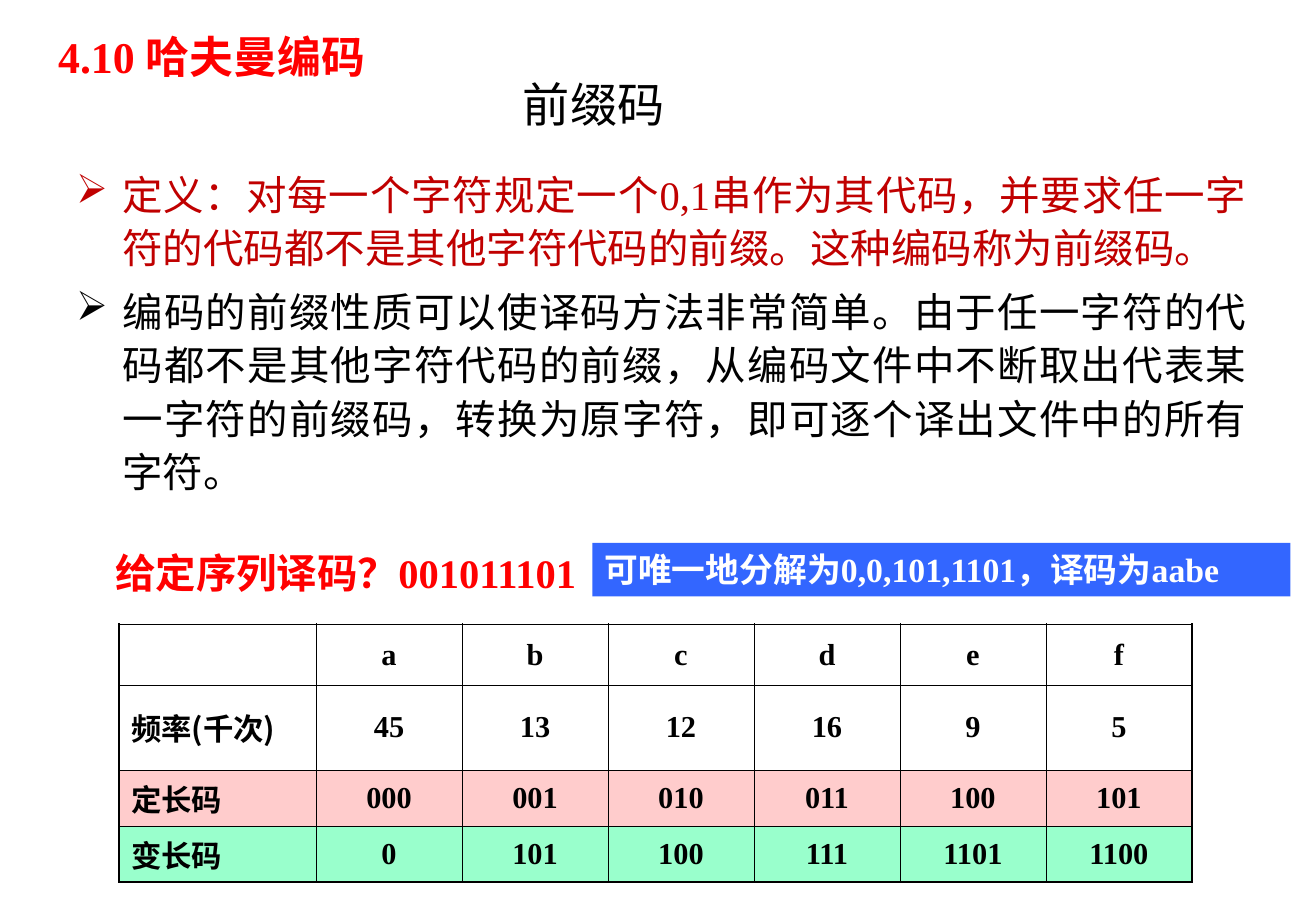
import pptx
import pptx.dml.color
import pptx.enum.shapes
import pptx.enum.text
import pptx.oxml.ns
import pptx.oxml.xmlchemy
import pptx.util
from lxml import etree

Inches = pptx.util.Inches
Pt = pptx.util.Pt
RGBColor = pptx.dml.color.RGBColor
Align = pptx.enum.text.PP_ALIGN
Anchor = pptx.enum.text.MSO_ANCHOR
qn = pptx.oxml.ns.qn

BLACK = RGBColor(0, 0, 0)
WHITE = RGBColor(255, 255, 255)
RED = RGBColor(255, 0, 0)
DARK_RED = RGBColor(0xC0, 0, 0)
BLUE = RGBColor(0x33, 0x66, 0xFF)
PINK = RGBColor(0xFF, 0xCC, 0xCC)
MINT = RGBColor(0x99, 0xFF, 0xCC)

SERIF = "Times New Roman"
CHINESE = "Noto Sans CJK SC"
SLIDE_WIDTH = Inches(10.84)
SLIDE_HEIGHT = Inches(7.5)
OUTER_LINE, INNER_LINE = Pt(1.08), Pt(0.45)

BULLETS = [
    ("定义：对每一个字符规定一个0,1串作为其代码，并要求任一字符的代码都不是其他字符代码的前缀。这种编码称为前缀码。", DARK_RED),
    ("编码的前缀性质可以使译码方法非常简单。由于任一字符的代码都不是其他字符代码的前缀，从编码文件中不断取出代表某一字符的前缀码，转换为原字符，即可逐个译出文件中的所有字符。", BLACK),
]
CODE_ROWS = [
    (["", "a", "b", "c", "d", "e", "f"], 0.5, None),
    (["频率(千次)", "45", "13", "12", "16", "9", "5"], 0.7, None),
    (["定长码", "000", "001", "010", "011", "100", "101"], 0.46, PINK),
    (["变长码", "0", "101", "100", "111", "1101", "1100"], 0.46, MINT),
]
COLUMN_WEIGHTS = [1.62] + [1.2] * 6


def percent_box(left, top, width, height):
    return (
        int(SLIDE_WIDTH * left / 100),
        int(SLIDE_HEIGHT * top / 100),
        int(SLIDE_WIDTH * width / 100),
        int(SLIDE_HEIGHT * height / 100),
    )


def style_paragraph(paragraph, text, size, color, bold=False, font_name=SERIF, align=Align.LEFT):
    paragraph.text = text
    paragraph.alignment = align
    font = paragraph.font
    font.size = Pt(size)
    font.bold = bold
    font.color.rgb = color
    font.name = font_name
    defaults = paragraph._p.pPr.find(qn("a:defRPr"))
    etree.SubElement(defaults, qn("a:ea"), typeface=CHINESE)


def add_label(slide, box, text, size, color, anchor=Anchor.TOP, wrap=True, **style):
    frame = slide.shapes.add_textbox(*box).text_frame
    frame.word_wrap = wrap
    frame.vertical_anchor = anchor
    style_paragraph(frame.paragraphs[0], text, size, color, **style)
    return frame


def add_bullets(slide, box):
    frame = slide.shapes.add_textbox(*box).text_frame
    frame.word_wrap = True
    for index, (text, color) in enumerate(BULLETS):
        paragraph = frame.add_paragraph() if index else frame.paragraphs[0]
        properties = paragraph._p.get_or_add_pPr()
        properties.set("marL", str(Inches(0.38)))
        properties.set("indent", str(-Inches(0.38)))
        bullet_color = etree.SubElement(properties, qn("a:buClr"))
        etree.SubElement(bullet_color, qn("a:srgbClr"), val=str(color))
        etree.SubElement(properties, qn("a:buChar"), char="➢")
        paragraph.line_spacing = 1.1
        if index:
            paragraph.space_before = Pt(6)
        style_paragraph(paragraph, text, 24, color, align=Align.JUSTIFY)


def add_answer(slide, box):
    shape = slide.shapes.add_shape(pptx.enum.shapes.MSO_SHAPE.RECTANGLE, *box)
    shape.shadow.inherit = False
    shape.fill.solid()
    shape.fill.fore_color.rgb = BLUE
    shape.line.fill.background()
    frame = shape.text_frame
    frame.word_wrap = True
    frame.vertical_anchor = Anchor.TOP
    style_paragraph(frame.paragraphs[0], "可唯一地分解为0,0,101,1101，译码为aabe", 20, WHITE, bold=True)


def add_cell_borders(cell, outer_sides):
    properties = cell._tc.get_or_add_tcPr()
    for side, is_outer in zip("LRTB", outer_sides):
        width = OUTER_LINE if is_outer else INNER_LINE
        line = etree.SubElement(properties, qn(f"a:ln{side}"), w=str(width))
        fill = etree.SubElement(line, qn("a:solidFill"))
        etree.SubElement(fill, qn("a:srgbClr"), val=str(BLACK))


def add_code_table(slide, box):
    row_count, column_count = len(CODE_ROWS), len(COLUMN_WEIGHTS)
    table = slide.shapes.add_table(row_count, column_count, *box).table
    table.first_row = False
    table.horz_banding = False
    for column, weight in zip(table.columns, COLUMN_WEIGHTS):
        column.width = int(box[2] * weight / sum(COLUMN_WEIGHTS))
    total_height = sum(weight for _, weight, _ in CODE_ROWS)
    for row, (texts, weight, color) in enumerate(CODE_ROWS):
        table.rows[row].height = int(box[3] * weight / total_height)
        for column, text in enumerate(texts):
            cell = table.cell(row, column)
            add_cell_borders(
                cell,
                (column == 0, column == column_count - 1, row == 0, row == row_count - 1),
            )
            if color is None:
                cell.fill.background()
            else:
                cell.fill.solid()
                cell.fill.fore_color.rgb = color
            cell.vertical_anchor = Anchor.MIDDLE
            style_paragraph(
                cell.text_frame.paragraphs[0], text, 18, BLACK, bold=True,
                font_name=SERIF if column else CHINESE,
                align=Align.CENTER if column else Align.LEFT,
            )


def build_prefix_code_slide(presentation):
    slide = presentation.slides.add_slide(presentation.slide_layouts[6])
    add_label(slide, percent_box(38.38, 5.87, 13.47, 11.07), "前缀码", 28, BLACK,
              anchor=Anchor.MIDDLE, font_name=CHINESE, align=Align.CENTER)
    add_bullets(slide, percent_box(4.89, 17.47, 90.77, 39.33))
    add_label(slide, percent_box(7.84, 59.47, 78.41, 10), "给定序列译码？001011101", 24, RED, bold=True)
    add_code_table(slide, percent_box(9.04, 68.53, 81.55, 28.27))
    add_answer(slide, percent_box(45.02, 59.6, 53.04, 5.87))
    heading = add_label(slide, percent_box(3.51, 0.27, 26.01, 9.47), "4.10 哈夫曼编码", 26, RED,
                        anchor=Anchor.MIDDLE, wrap=False, bold=True)
    heading.paragraphs[0].line_spacing = 1.4


def main():
    presentation = pptx.Presentation()
    presentation.slide_width = SLIDE_WIDTH
    presentation.slide_height = SLIDE_HEIGHT
    build_prefix_code_slide(presentation)
    presentation.save("out.pptx")


if __name__ == "__main__":
    main()
